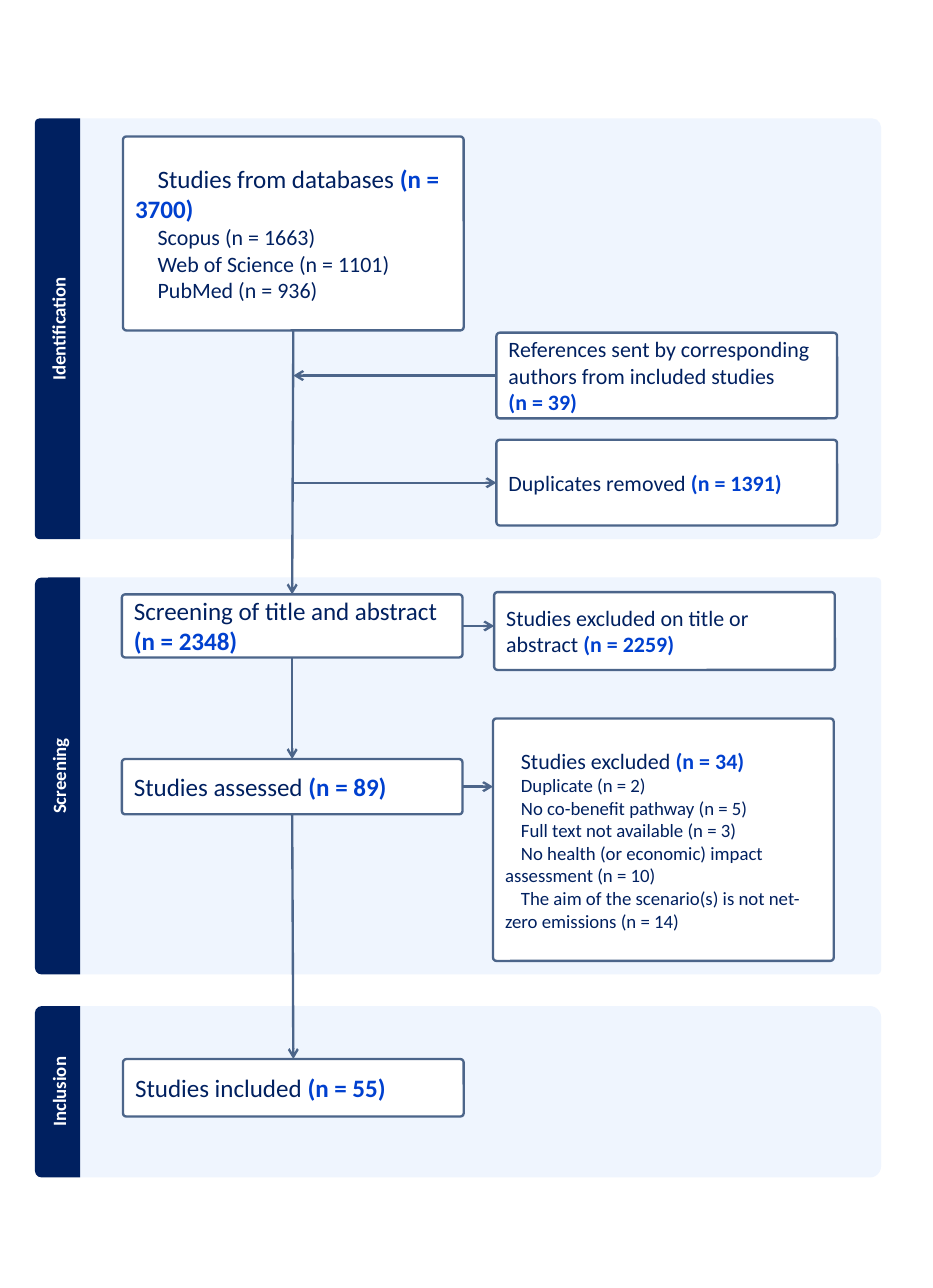
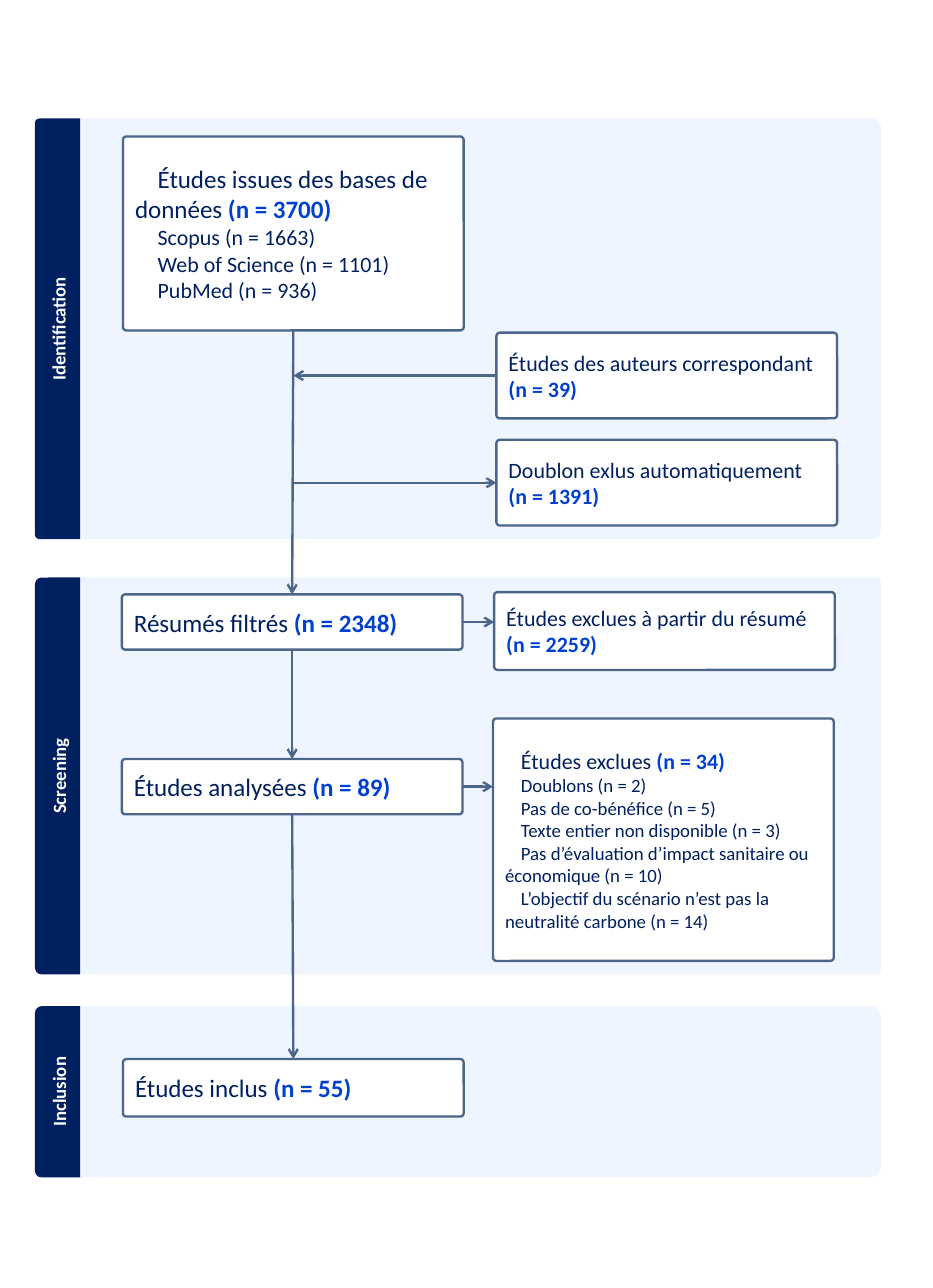
from dataclasses import dataclass, replace

from lxml import etree
from pptx import Presentation
from pptx.dml.color import RGBColor
from pptx.enum import shapes, text
from pptx.oxml import ns
from pptx.util import Inches, Pt

TOP, LEFT, BOTTOM, RIGHT = range(4)


@dataclass(frozen=True)
class Theme:
    font: str = "Calibri"
    panel: str = "EFF5FE"
    navy: str = "002060"
    count: str = "0040CF"
    line: str = "4C658A"
    white: str = "FFFFFF"
    line_width: float = 1.5
    large: int = 16
    medium: int = 14
    small: int = 12
    card_radius: float = 0.03


@dataclass(frozen=True)
class Box:
    left: float
    top: float
    width: float
    height: float

    def inner_box(self, left, top, width, height):
        return Box(self.left + left, self.top + top, width, height)


@dataclass(frozen=True)
class Stage:
    box: Box
    panel_radius: float
    tab_radius: float


@dataclass(frozen=True)
class Card:
    """A flow card; left and top are measured from its stage."""
    stage: str
    left: float
    top: float
    height: float
    size: int
    detail_size: int = 0
    indent: float = 0


THEME = Theme()
TAB_WIDTH = 0.4
CARD_WIDTH = 3.02

STAGES = {
    "Identification": Stage(Box(0.31, 1.05, 7.5, 3.73), 0.08, 0.04),
    "Screening": Stage(Box(0.31, 5.12, 7.5, 3.52), 0.04, 0.06),
    "Inclusion": Stage(Box(0.31, 8.92, 7.5, 1.52), 0.1, 0.06),
}

CARDS = {
    "databases": Card("Identification", 0.78, 0.16, 1.72, THEME.large, THEME.medium, 0.2),
    "references": Card("Identification", 4.09, 1.9, 0.76, THEME.medium),
    "duplicates": Card("Identification", 4.09, 2.85, 0.76, THEME.medium),
    "screened": Card("Screening", 0.77, 0.15, 0.49, THEME.large),
    "screened out": Card("Screening", 4.07, 0.13, 0.69, THEME.medium),
    "assessed": Card("Screening", 0.77, 1.61, 0.49, THEME.large),
    "excluded": Card("Screening", 4.06, 1.25, 2.15, THEME.medium, THEME.small, 0.14),
    "included": Card("Inclusion", 0.78, 0.47, 0.51, THEME.large),
}

COUNTS = {
    "databases": 3700, "references": 39, "duplicates": 1391, "screened": 2348,
    "screened out": 2259, "assessed": 89, "excluded": 34, "included": 55,
}

DATABASES = ["Scopus (n = 1663)", "Web of Science (n = 1101)", "PubMed (n = 936)"]

ENGLISH = {
    "databases": "Studies from databases ",
    "references": "References sent by corresponding authors from included studies\n",
    "duplicates": "Duplicates removed ",
    "screened": "Screening of title and abstract ",
    "screened out": "Studies excluded on title or abstract ",
    "assessed": "Studies assessed ",
    "excluded": "Studies excluded ",
    "included": "Studies included ",
}
ENGLISH_REASONS = [
    "Duplicate (n = 2)",
    "No co-benefit pathway (n = 5)",
    "Full text not available (n = 3)",
    "No health (or economic) impact assessment (n = 10)",
    "The aim of the scenario(s) is not net-zero emissions (n = 14)",
]

FRENCH = {
    "databases": "Études issues des bases de données ",
    "references": "Études des auteurs correspondant ",
    "duplicates": "Doublon exlus automatiquement ",
    "screened": "Résumés filtrés ",
    "screened out": "Études exclues à partir du résumé ",
    "assessed": "Études analysées ",
    "excluded": "Études exclues ",
    "included": "Études inclus ",
}
FRENCH_REASONS = [
    "Doublons (n = 2)",
    "Pas de co-bénéfice (n = 5)",
    "Texte entier non disponible (n = 3)",
    "Pas d’évaluation d’impact sanitaire ou économique (n = 10)",
    "L’objectif du scénario n’est pas la neutralité carbone (n = 14)",
]


def color(value):
    return RGBColor.from_string(value)


def add_box(page, kind, box, fill, line=None):
    shape = page.shapes.add_shape(
        kind, Inches(box.left), Inches(box.top), Inches(box.width), Inches(box.height))
    shape.shadow.inherit = False
    shape.fill.solid()
    shape.fill.fore_color.rgb = color(fill)
    if line:
        shape.line.color.rgb = color(line)
        shape.line.width = Pt(THEME.line_width)
    else:
        shape.line.fill.background()
    shape.text_frame.word_wrap = True
    shape.text_frame.vertical_anchor = text.MSO_ANCHOR.MIDDLE
    return shape


def add_span(para, words, size, ink=THEME.navy, bold=False):
    span = para.add_run()
    span.text = words
    span.font.name = THEME.font
    span.font.size = Pt(size)
    span.font.bold = bold
    span.font.color.rgb = color(ink)


def add_para(frame, first=False, align=text.PP_ALIGN.LEFT, indent=0):
    para = frame.paragraphs[0] if first else frame.add_paragraph()
    para.alignment = align
    if indent:
        settings = para._p.get_or_add_pPr()
        settings.set("marL", "0")
        settings.set("indent", str(Inches(indent)))
    return para


def add_turned_box(page, box, radius, rotation, fill):
    """Fill the box with a shape turned a quarter, so one upright side is rounded."""
    unturned = Box(box.left + (box.width - box.height) / 2,
                   box.top + (box.height - box.width) / 2, box.height, box.width)
    shape = add_box(page, shapes.MSO_SHAPE.ROUND_2_SAME_RECTANGLE, unturned, fill)
    shape.rotation = rotation
    shape.adjustments[0] = radius / min(box.width, box.height)
    shape.adjustments[1] = 0
    return shape


def add_stage(page, name, stage):
    box = stage.box
    panel = box.inner_box(TAB_WIDTH, 0, box.width - TAB_WIDTH, box.height)
    add_turned_box(page, panel, stage.panel_radius, 90, THEME.panel)
    tab = add_turned_box(page, box.inner_box(0, 0, TAB_WIDTH, box.height),
                         stage.tab_radius, 270, THEME.navy)
    para = add_para(tab.text_frame, first=True, align=text.PP_ALIGN.CENTER)
    add_span(para, name, THEME.small, THEME.white, bold=True)


def add_card(page, card, label, count, details=()):
    box = STAGES[card.stage].box.inner_box(card.left, card.top, CARD_WIDTH, card.height)
    shape = add_box(page, shapes.MSO_SHAPE.ROUNDED_RECTANGLE, box, THEME.white, THEME.line)
    shape.adjustments[0] = THEME.card_radius / min(box.width, box.height)
    frame = shape.text_frame
    for index, words in enumerate(label.split("\n")):
        para = add_para(frame, first=index == 0, indent=card.indent)
        if words:
            add_span(para, words, card.size)
    add_span(para, f"(n = {count})", card.size, THEME.count, bold=True)
    for detail in details:
        add_span(add_para(frame, indent=card.indent), detail, card.detail_size)
    return shape


def add_arrow(page, start, end):
    """Draw an arrow; each end is an (x, y) point or a (shape, side) joint."""
    arrow = page.shapes.add_connector(
        shapes.MSO_CONNECTOR.STRAIGHT, *joint_point(*start), *joint_point(*end))
    if not isinstance(start[0], int):
        arrow.begin_connect(*start)
    if not isinstance(end[0], int):
        arrow.end_connect(*end)
    arrow.line.color.rgb = color(THEME.line)
    arrow.line.width = Pt(THEME.line_width)
    etree.SubElement(arrow.line._get_or_add_ln(), ns.qn("a:tailEnd"), type="arrow")
    etree.SubElement(arrow._element.spPr, ns.qn("a:effectLst"))


def joint_point(first, second):
    if isinstance(first, int):
        return first, second
    middle_x = first.left + first.width // 2
    middle_y = first.top + first.height // 2
    return {
        TOP: (middle_x, first.top),
        LEFT: (first.left, middle_y),
        BOTTOM: (middle_x, first.top + first.height),
        RIGHT: (first.left + first.width, middle_y),
    }[second]


def add_arrows(page, cards):
    main_steps = ["databases", "screened", "assessed", "included"]
    for upper, lower in zip(main_steps, main_steps[1:]):
        add_arrow(page, (cards[upper], BOTTOM), (cards[lower], TOP))

    trunk_x, _ = joint_point(cards["databases"], BOTTOM)
    for name, inward in (("references", True), ("duplicates", False)):
        side = (cards[name], LEFT)
        trunk = (trunk_x, joint_point(*side)[1])
        add_arrow(page, *((side, trunk) if inward else (trunk, side)))

    for name, target in (("screened", "screened out"), ("assessed", "excluded")):
        side = (cards[name], RIGHT)
        add_arrow(page, side, (cards[target].left, joint_point(*side)[1]))


def add_flow_page(deck, labels, reasons, screened_height):
    page = deck.slides.add_slide(deck.slide_layouts[6])
    for name, stage in STAGES.items():
        add_stage(page, name, stage)
    layout = {**CARDS, "screened": replace(CARDS["screened"], height=screened_height)}
    details = {"databases": DATABASES, "excluded": reasons}
    cards = {name: add_card(page, card, labels[name], COUNTS[name], details.get(name, ()))
             for name, card in layout.items()}
    add_arrows(page, cards)


def main():
    deck = Presentation()
    deck.slide_width, deck.slide_height = Inches(8.27), Inches(11.42)
    add_flow_page(deck, ENGLISH, ENGLISH_REASONS, screened_height=0.56)
    add_flow_page(deck, FRENCH, FRENCH_REASONS, screened_height=0.49)
    deck.save("out.pptx")


if __name__ == "__main__":
    main()
